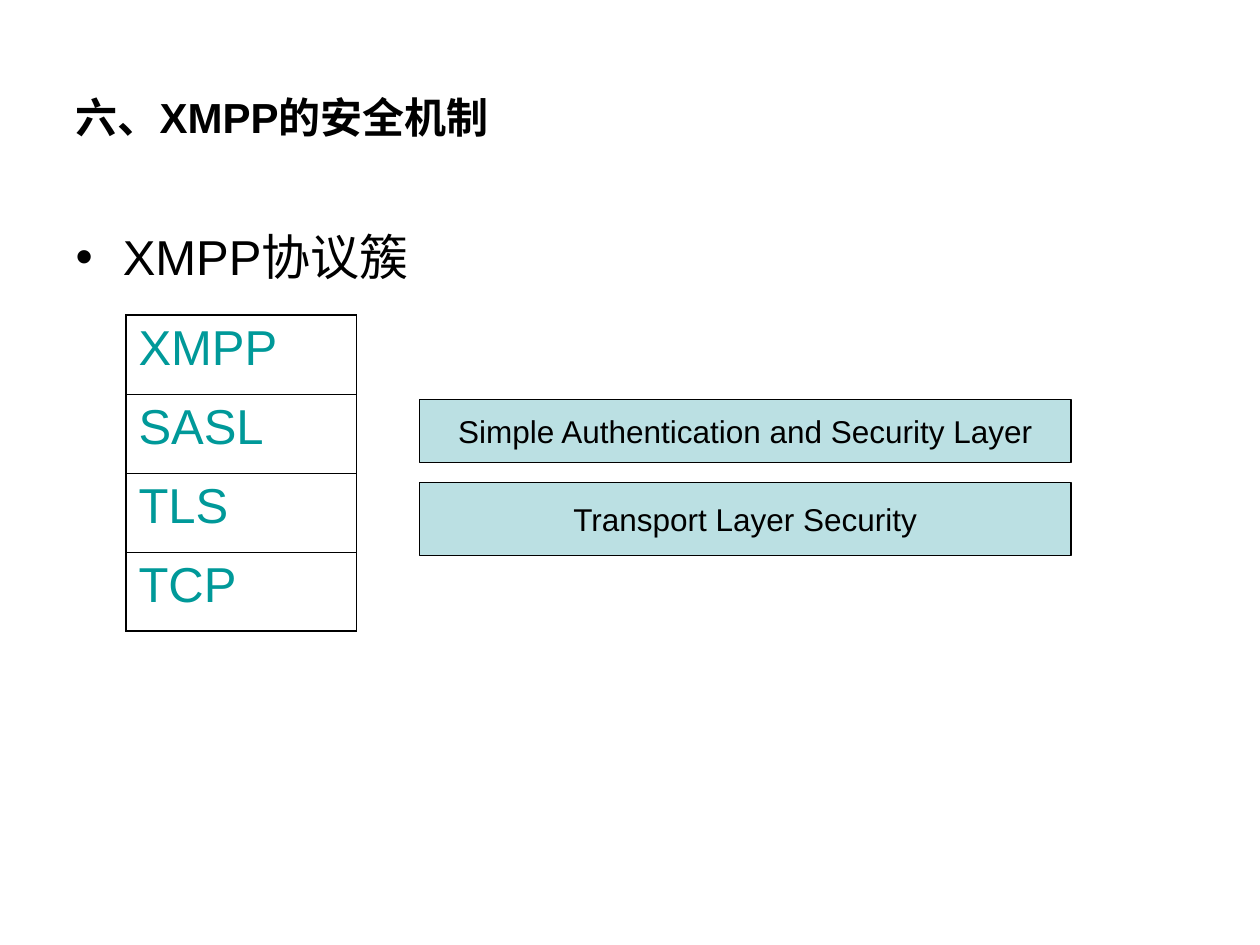
from dataclasses import dataclass

from lxml import etree
from pptx import Presentation
from pptx.dml.color import RGBColor
from pptx.enum.shapes import MSO_SHAPE
from pptx.enum.text import MSO_ANCHOR, PP_ALIGN
from pptx.oxml.ns import qn
from pptx.util import Inches, Pt

RECT = MSO_SHAPE.RECTANGLE
MIDDLE = MSO_ANCHOR.MIDDLE
LEFT = PP_ALIGN.LEFT
CENTER = PP_ALIGN.CENTER


@dataclass(frozen=True)
class Theme:
    font: str = "Arial"
    ink: str = "000000"
    teal: str = "009999"
    pale: str = "BBE0E3"
    head: int = 24
    body: int = 28
    note: int = 18
    gap: int = 7
    edge: float = 0.75
    thick: float = 1.08
    thin: float = 0.45


class Page:
    def __init__(self, slide, theme):
        self.slide = slide
        self.theme = theme

    def label(self, frame, text, size, color, align=LEFT, bold=False, gap=0):
        frame.text = text
        para = frame.paragraphs[0]
        para.alignment = align
        para.space_before = Pt(gap)
        font = para.font
        font.name = self.theme.font
        font.size = Pt(size)
        font.bold = bold
        font.color.rgb = RGBColor.from_string(color)

    def place(self, shape, left, top, width, height):
        shape.left, shape.top = Inches(left), Inches(top)
        shape.width, shape.height = Inches(width), Inches(height)

    def title(self, text, *area):
        shape = self.slide.shapes.title
        self.place(shape, *area)
        shape.text_frame.vertical_anchor = MIDDLE
        self.label(shape.text_frame, text, self.theme.head, self.theme.ink, bold=True)

    def bullet(self, text, *area):
        shape = self.slide.placeholders[1]
        self.place(shape, *area)
        self.label(shape.text_frame, text, self.theme.body, self.theme.ink, gap=self.theme.gap)

    def border(self, cell, first, last):
        theme = self.theme
        sides = {
            "a:lnL": theme.thick,
            "a:lnR": theme.thick,
            "a:lnT": theme.thick if first else theme.thin,
            "a:lnB": theme.thick if last else theme.thin,
        }
        props = cell._tc.get_or_add_tcPr()
        for spot, (tag, width) in enumerate(sides.items()):
            line = etree.Element(qn(tag), w=str(Pt(width)))
            fill = etree.SubElement(line, qn("a:solidFill"))
            etree.SubElement(fill, qn("a:srgbClr"), val=theme.ink)
            props.insert(spot, line)

    def stack(self, names, left, top, width, height):
        area = map(Inches, (left, top, width, height))
        table = self.slide.shapes.add_table(len(names), 1, *area).table
        table.first_row = table.horz_banding = False
        for row, name in enumerate(names):
            cell = table.cell(row, 0)
            cell.fill.background()
            self.border(cell, row == 0, row == len(names) - 1)
            self.label(cell.text_frame, name, self.theme.body, self.theme.teal, gap=self.theme.gap)

    def box(self, text, *area):
        shape = self.slide.shapes.add_shape(RECT, *map(Inches, area))
        shape.shadow.inherit = False
        shape.fill.solid()
        shape.fill.fore_color.rgb = RGBColor.from_string(self.theme.pale)
        shape.line.color.rgb = RGBColor.from_string(self.theme.ink)
        shape.line.width = Pt(self.theme.edge)
        frame = shape.text_frame
        frame.word_wrap = False
        frame.vertical_anchor = MIDDLE
        self.label(frame, text, self.theme.note, self.theme.ink, CENTER)


def main():
    deck = Presentation()
    deck.slide_width, deck.slide_height = Inches(10), Inches(7.5)
    page = Page(deck.slides.add_slide(deck.slide_layouts[1]), Theme())
    page.title("六、XMPP的安全机制", 0.5, 0.3, 9, 1.25)
    page.bullet("XMPP协议簇", 0.5, 1.75, 4.42, 4.95)
    page.stack(("XMPP", "SASL", "TLS", "TCP"), 1, 2.5, 1.83, 2.51)
    page.box("Simple Authentication and Security Layer", 3.33, 3.17, 5.17, 0.5)
    page.box("Transport Layer Security", 3.33, 3.83, 5.17, 0.58)
    deck.save("out.pptx")


if __name__ == "__main__":
    main()
